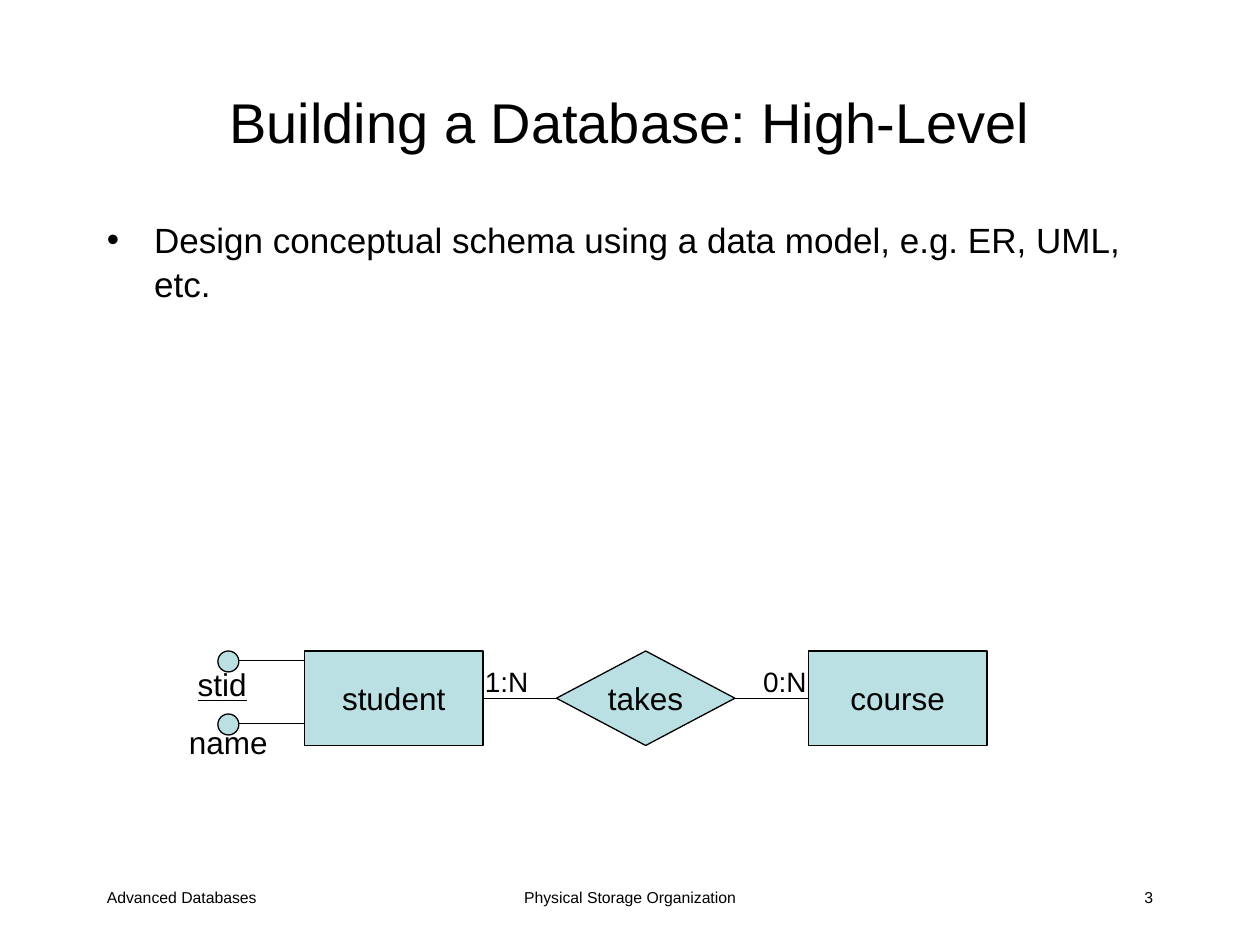
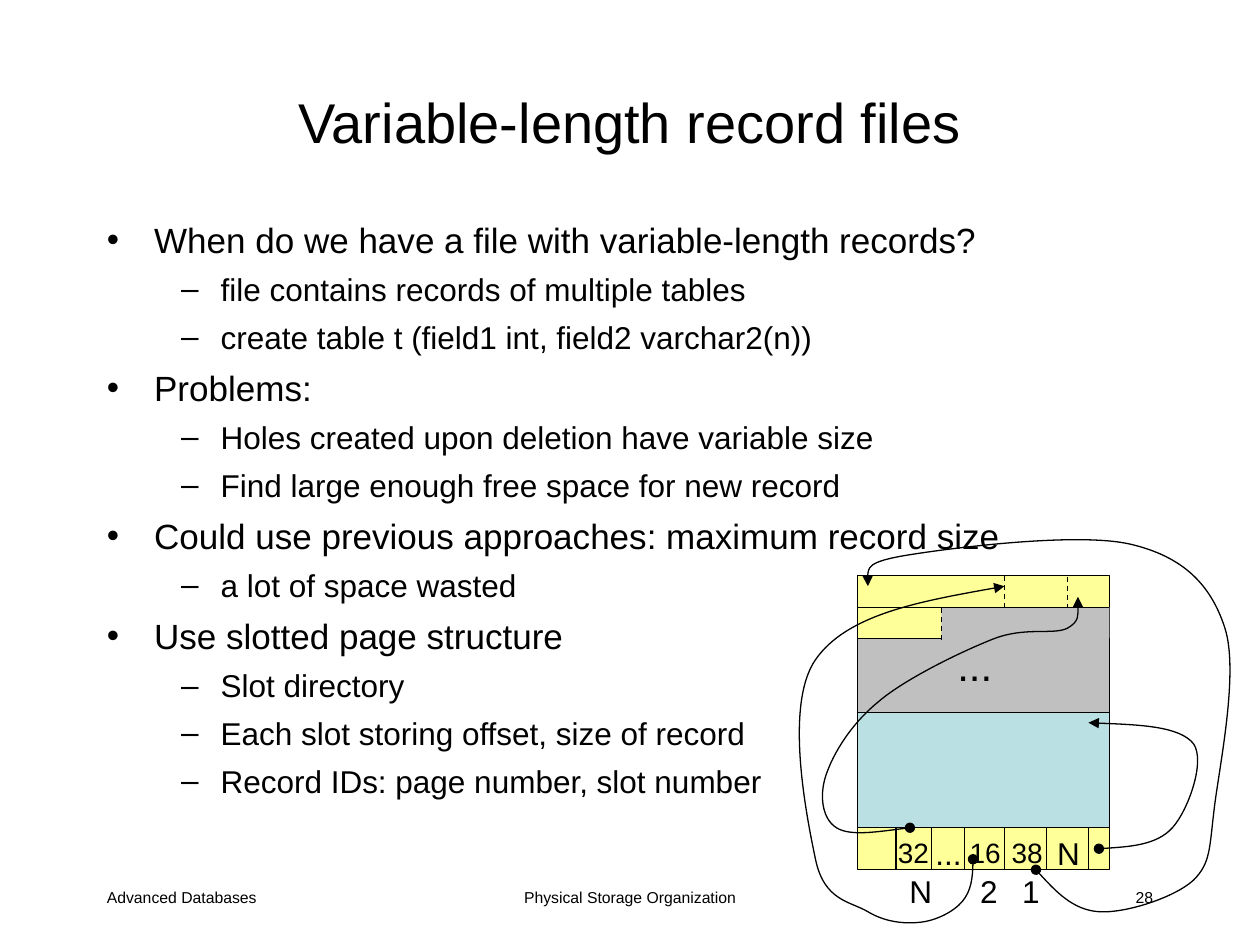
from lxml import etree
from pptx import Presentation
from pptx.dml.color import RGBColor
from pptx.enum.dml import MSO_LINE
from pptx.enum.shapes import MSO_CONNECTOR, MSO_SHAPE
from pptx.enum.text import MSO_ANCHOR, PP_ALIGN
from pptx.oxml.ns import qn
from pptx.util import Pt

LEFT, CENTER, RIGHT = PP_ALIGN.LEFT, PP_ALIGN.CENTER, PP_ALIGN.RIGHT
TOP, MIDDLE = MSO_ANCHOR.TOP, MSO_ANCHOR.MIDDLE
STRAIGHT, DASH = MSO_CONNECTOR.STRAIGHT, MSO_LINE.DASH
RECT, ENTITY = MSO_SHAPE.RECTANGLE, MSO_SHAPE.FLOWCHART_PROCESS
RELATION, ATTRIBUTE = MSO_SHAPE.FLOWCHART_DECISION, MSO_SHAPE.FLOWCHART_CONNECTOR

FONT = "Arial"
BLACK, TEAL, YELLOW, GRAY = "000000", "BBE0E3", "FFFF99", "C0C0C0"
INSETS = (7.2, 3.6, 7.2, 3.6)

# Outline levels: bullet, text size, left margin, hanging indent, space before
LEVELS = [("•", 20, 27, -27, 5), ("–", 18, 65, -22.5, 4.5)]


def color(hex_string):
    return RGBColor.from_string(hex_string)


def set_font(paragraph, size):
    font = paragraph.font
    font.name, font.size = FONT, Pt(size)
    font.color.rgb = color(BLACK)


def write(shape, text, size, align=LEFT, anchor=TOP, wrap=True, insets=INSETS):
    frame = shape.text_frame
    frame.word_wrap = wrap
    frame.vertical_anchor = anchor
    (frame.margin_left, frame.margin_top,
     frame.margin_right, frame.margin_bottom) = map(Pt, insets)
    paragraph = frame.paragraphs[0]
    paragraph.text = text
    paragraph.alignment = align
    set_font(paragraph, size)
    return paragraph


def add_text(slide, box, text, size, **options):
    write(slide.shapes.add_textbox(*map(Pt, box)), text, size, **options)


def add_label(slide, x, y, width, text, size, wrap=False):
    add_text(slide, (x, y, width, 1.2 * size + 7.2), text, size, wrap=wrap)


def add_block(slide, preset, box, fill, outlined=True):
    block = slide.shapes.add_shape(preset, *map(Pt, box))
    block.shadow.inherit = False
    block.fill.solid()
    block.fill.fore_color.rgb = color(fill)
    if outlined:
        set_line(block, BLACK)
    else:
        block.line.fill.background()
    return block


def set_line(shape, line_color):
    shape.line.color.rgb = color(line_color)
    shape.line.width = Pt(0.75)


def add_line(slide, x1, y1, x2, y2, line_color=BLACK, dash=None):
    line = slide.shapes.add_connector(STRAIGHT, *map(Pt, (x1, y1, x2, y2)))
    set_line(line, line_color)
    if dash:
        line.line.dash_style = dash
    etree.SubElement(line._element.spPr, qn("a:effectLst"))
    return line


def add_curved_arrow(slide, points):
    """Draw a start point and Bezier triples, from a dot to an arrowhead."""
    start, *others = [(Pt(x), Pt(y)) for x, y in points]
    builder = slide.shapes.build_freeform(*start)
    builder.add_line_segments(others, close=False)
    arrow = builder.convert_to_shape()
    # Every three straight segments become one cubic curve
    segments = list(arrow._element.iter(qn("a:lnTo")))
    for first in range(0, len(segments), 3):
        curve = etree.Element(qn("a:cubicBezTo"))
        segments[first].addprevious(curve)
        for segment in segments[first:first + 3]:
            curve.append(segment[0])
            segment.getparent().remove(segment)
    arrow.shadow.inherit = False
    arrow.fill.background()
    set_line(arrow, BLACK)
    line_xml = arrow.line._get_or_add_ln()
    etree.SubElement(line_xml, qn("a:headEnd"), type="oval")
    etree.SubElement(line_xml, qn("a:tailEnd"), type="triangle")


def add_bullet(paragraph, mark, margin, indent):
    properties = paragraph._p.get_or_add_pPr()
    properties.set("marL", str(Pt(margin)))
    properties.set("indent", str(Pt(indent)))
    bullet_color = etree.SubElement(properties, qn("a:buClr"))
    etree.SubElement(bullet_color, qn("a:srgbClr"), val=BLACK)
    etree.SubElement(properties, qn("a:buFont"), typeface=FONT)
    etree.SubElement(properties, qn("a:buChar"), char=mark)


def outline(slide, box, items):
    frame = slide.shapes.add_textbox(*map(Pt, box)).text_frame
    frame.word_wrap = True
    for index, (level, text) in enumerate(items):
        mark, size, margin, indent, gap = LEVELS[level]
        paragraph = frame.paragraphs[0] if index == 0 else frame.add_paragraph()
        paragraph.text = text
        paragraph.level = level
        paragraph.line_spacing = 1.05
        if index:
            paragraph.space_before = Pt(gap)
        add_bullet(paragraph, mark, margin, indent)
        set_font(paragraph, size)


def content_slide(deck, title, number, items):
    """Title, outline and the three footers shared by all slides."""
    slide = deck.slides.add_slide(deck.slide_layouts[6])
    footers = [(54, 150, "Advanced Databases", LEFT),
               (246, 228, "Physical Storage Organization", CENTER),
               (516, 150, str(number), RIGHT)]
    for left, width, text, align in footers:
        add_text(slide, (left, 504, width, 24), text, 9, align=align)
    add_text(slide, (54, 24, 612, 90), title, 32, align=CENTER, anchor=MIDDLE)
    outline(slide, (54, 120, 612, 372), items)
    return slide


def er_diagram(slide, left, top):
    width, height, pitch = 102, 54, 144
    # Entities and their relationship
    nodes = []
    for column, (preset, text) in enumerate(
            [(ENTITY, "student"), (RELATION, "takes"), (ENTITY, "course")]):
        node = add_block(slide, preset,
                         (left + column * pitch, top, width, height), TEAL)
        write(node, text, 18, align=CENTER, anchor=MIDDLE, wrap=False)
        nodes.append(node)
    middle = top + height / 2
    for column, (source, target) in enumerate(zip(nodes, nodes[1:])):
        start = left + column * pitch + width
        link = add_line(slide, start, middle, left + (column + 1) * pitch, middle)
        link.begin_connect(source, 3)
        link.end_connect(target, 1)
    # Attributes of student
    attributes = [("stid", 0, (0, 6.5, 7.2, 0), True),
                  ("name", 36, INSETS, False)]
    for text, offset, insets, is_key in attributes:
        y = top + offset
        add_line(slide, left - 42, y + 5.5, left, y + 5.5)
        dot = add_block(slide, ATTRIBUTE, (left - 49.5, y, 12, 12), TEAL)
        paragraph = write(dot, text, 18, align=CENTER, wrap=False, insets=insets)
        if is_key:
            paragraph.font.underline = True
    # Cardinalities
    for offset, text in [(96, "1:N"), (255, "0:N")]:
        add_label(slide, left + offset, top + 4, 39, text, 16)


def slotted_page(slide, left, top):
    width, height, row, directory = 144, 168, 18, 144

    def line(x1, y1, x2, y2, *style):
        add_line(slide, left + x1, top + y1, left + x2, top + y2, *style)

    def block(x, y, block_width, block_height, fill, outlined=True):
        add_block(slide, RECT, (left + x, top + y, block_width, block_height),
                  fill, outlined)

    # Records, deleted space and free space
    block(0, 0, width, height, YELLOW)
    block(48, row, 96, row, GRAY, False)
    block(0, 2 * row, width, 42, GRAY)
    block(0, 78, width, 66, TEAL)
    line(0, row, width, row)
    line(48, 2 * row, width, 2 * row, GRAY)
    for x, y in [(84, 0), (120, 0.5), (48, row + 0.5)]:
        line(x, y, x, y + row, BLACK, DASH)

    # Slot directory
    for x in (22, 42.5, 61, 84, 108, 132):
        line(x, directory, x, height)
    labels = [(50, 33, 52.5, "...", 24, True), (37.5, 144, 52.5, "...", 18, True),
              (16, 145, 32, "32", 16), (57, 145, 32, "16", 16),
              (81, 145, 32, "38", 16), (107, 144, 27, "N", 18),
              (22.5, 166, 27, "N", 18), (63, 166, 24.5, "2", 18),
              (87, 166, 24.5, "1", 18)]
    for x, y, *label in labels:
        add_label(slide, left + x, top + y, *label)

    # Pointers from the slots to the records and the free space
    free_space_pointer = [
        (138, 156), (154, 155), (171, 154), (180, 144), (189, 134),
        (199, 106), (192, 96), (184, 86), (158, 85), (132, 84)]
    slot_1_pointer = [
        (102, 168), (112, 179), (123, 191), (138, 192), (153, 193), (181, 184),
        (192, 174), (202, 164), (201, 156), (204, 132), (207, 108), (218, 55),
        (210, 30), (202, 5), (186, -11), (156, -18), (126, -25), (55, -16),
        (30, -12), (4.5, -8), (5, -1), (6, 6)]
    slot_2_pointer = [
        (66, 162), (66, 171), (65, 180), (60, 186), (55, 192), (45, 197),
        (36, 198), (27, 199), (16, 198), (6, 192), (-4, 186), (-19, 186),
        (-24, 162), (-29, 138), (-42, 74), (-24, 48), (-6, 22), (39, 14), (84, 6)]
    slot_n_pointer = [
        (30, 144), (13, 146), (-4, 149), (-12, 144), (-20, 139), (-22, 126),
        (-18, 114), (-14, 102), (-4, 85), (12, 72), (27, 59), (60, 43),
        (78, 36), (96, 29), (112, 34), (120, 30), (127, 26), (126, 19), (126, 12)]
    for pointer in (free_space_pointer, slot_1_pointer,
                    slot_2_pointer, slot_n_pointer):
        add_curved_arrow(slide, [(left + x, top + y) for x, y in pointer])


def main():
    deck = Presentation()
    deck.slide_width, deck.slide_height = Pt(720), Pt(540)

    design = content_slide(deck, "Building a Database: High-Level", 3, [
        (0, "Design conceptual schema using a data model, e.g. ER, UML, etc.")])
    er_diagram(design, 174, 372)

    records = content_slide(deck, "Variable-length record files", 28, [
        (0, "When do we have a file with variable-length records?"),
        (1, "file contains records of multiple tables"),
        (1, "create table t (field1 int, field2 varchar2(n))"),
        (0, "Problems:"),
        (1, "Holes created upon deletion have variable size"),
        (1, "Find large enough free space for new record"),
        (0, "Could use previous approaches: maximum record size"),
        (1, "a lot of space wasted"),
        (0, "Use slotted page structure"),
        (1, "Slot directory"),
        (1, "Each slot storing offset, size of record"),
        (1, "Record IDs: page number, slot number")])
    slotted_page(records, 490, 329)

    deck.save("out.pptx")


if __name__ == "__main__":
    main()
